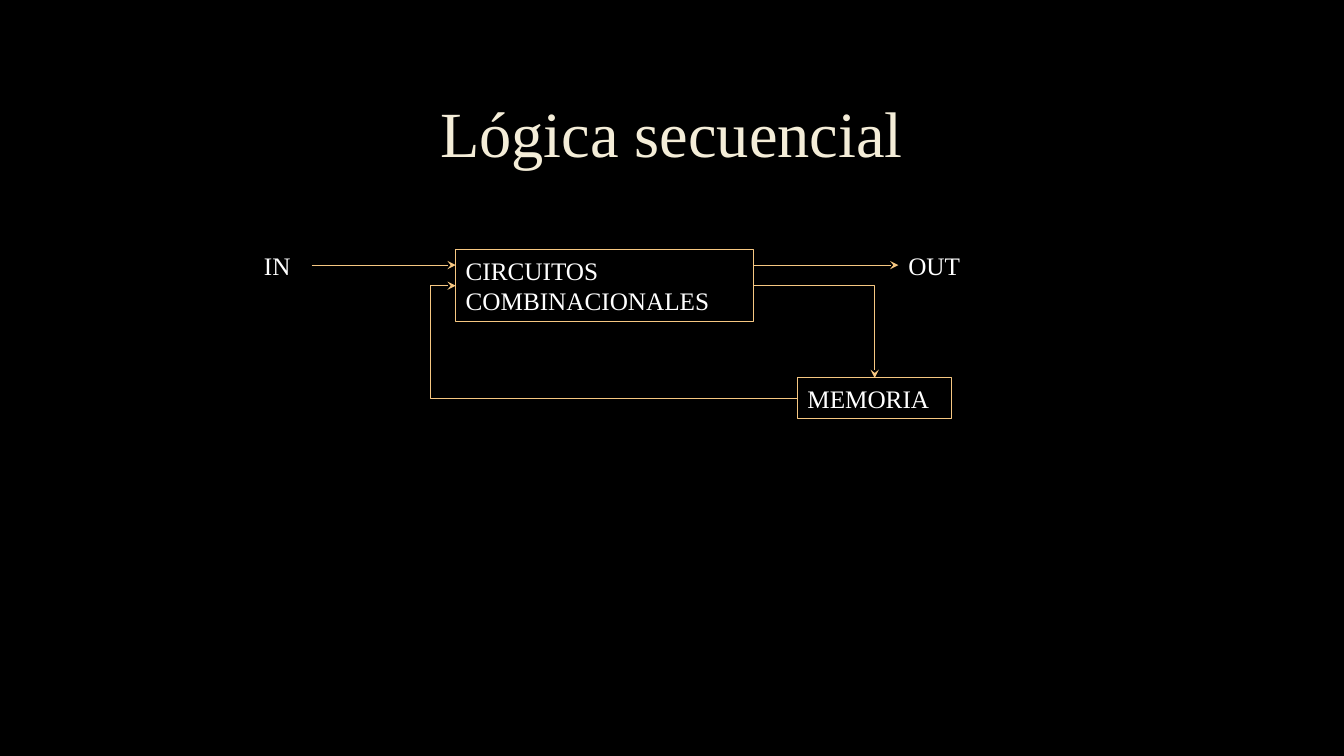
from pptx import Presentation
from pptx.dml.color import RGBColor
from pptx.enum.shapes import MSO_CONNECTOR, MSO_SHAPE
from pptx.enum.text import MSO_ANCHOR, MSO_AUTO_SIZE, PP_ALIGN
from pptx.oxml import parse_xml
from pptx.oxml.ns import nsdecls, qn
from pptx.util import Inches, Pt

FONT = "Times New Roman"
GOLD, CREAM, WHITE, BLACK = "F6C782", "F4EDD8", "FFFFFF", "000000"
TOP, LEFT, RIGHT = 0, 1, 3


def color(hex_string):
    """Return the colour for a hex string."""
    return RGBColor.from_string(hex_string)


def format_paragraph(paragraph, size, hex_string, alignment):
    """Set the font and alignment of a paragraph."""
    paragraph.alignment = alignment
    paragraph.font.name = FONT
    paragraph.font.size = Pt(size)
    paragraph.font.color.rgb = color(hex_string)


def add_title(slide, text, left, top, width, height):
    """Place and format the title placeholder in the given box."""
    title = slide.shapes.title
    title.left, title.top = Inches(left), Inches(top)
    title.width, title.height = Inches(width), Inches(height)
    frame = title.text_frame
    frame.text = text
    frame.auto_size = MSO_AUTO_SIZE.NONE
    frame.vertical_anchor = MSO_ANCHOR.MIDDLE
    paragraph = frame.paragraphs[0]
    paragraph.line_spacing = 0.9
    format_paragraph(paragraph, 46, CREAM, PP_ALIGN.CENTER)


def add_node(slide, text, left, top, width, height, outlined=False):
    """Add a plain label or an outlined block of the diagram."""
    box = Inches(left), Inches(top), Inches(width), Inches(height)
    if outlined:
        node = slide.shapes.add_shape(MSO_SHAPE.RECTANGLE, *box)
        node.shadow.inherit = False
        node.fill.background()
        node.line.color.rgb = color(GOLD)
        node.line.width = Pt(0.75)
    else:
        node = slide.shapes.add_textbox(*box)
    frame = node.text_frame
    frame.text = text
    frame.word_wrap = True
    frame.auto_size = MSO_AUTO_SIZE.SHAPE_TO_FIT_TEXT
    frame.vertical_anchor = MSO_ANCHOR.TOP
    format_paragraph(frame.paragraphs[0], 18, WHITE, PP_ALIGN.LEFT)
    return node


def add_arrow(slide, kind, start, end):
    """Add a gold connector with a stealth head at its end."""
    points = [Inches(value) for value in (*start, *end)]
    arrow = slide.shapes.add_connector(kind, *points)
    arrow.line.color.rgb = color(GOLD)
    arrow.line.width = Pt(0.75)
    properties = arrow._element.spPr
    line = properties.find(qn("a:ln"))
    line.append(parse_xml(f'<a:tailEnd {nsdecls("a")} type="stealth"/>'))
    properties.append(parse_xml(f'<a:effectLst {nsdecls("a")}/>'))
    return arrow


def add_diagram(slide, left, top):
    """Draw the sequential circuit with its top left corner at the given point."""
    input_label = add_node(slide, "IN", left, top, 0.57, 0.4)
    circuits_left, circuits_width = left + 2, 2.95
    circuits_right = circuits_left + circuits_width
    circuits = add_node(slide, "CIRCUITOS COMBINACIONALES", circuits_left, top + 0.05,
                        circuits_width, 0.71, True)
    output_left = left + 6.39
    output_label = add_node(slide, "OUT", output_left, top, 1.08, 0.4)
    memory_left, memory_top = left + 5.39, top + 1.32
    memory_width, memory_height = 1.53, 0.4
    memory = add_node(slide, "MEMORIA", memory_left, memory_top,
                      memory_width, memory_height, True)

    signal_y, circuits_middle = top + 0.2, top + 0.4
    output_arrow = add_arrow(slide, MSO_CONNECTOR.STRAIGHT,
                             (circuits_right, signal_y), (output_left, signal_y))
    output_arrow.end_connect(output_label, LEFT)
    input_arrow = add_arrow(slide, MSO_CONNECTOR.STRAIGHT,
                            (left + 0.57, signal_y), (circuits_left, signal_y))
    input_arrow.begin_connect(input_label, RIGHT)

    store = add_arrow(slide, MSO_CONNECTOR.ELBOW, (circuits_right, circuits_middle),
                      (memory_left + memory_width / 2, memory_top))
    store.begin_connect(circuits, RIGHT)
    store.end_connect(memory, TOP)
    store._element.spPr.find(qn("a:prstGeom")).set("prst", "bentConnector2")

    feedback = add_arrow(slide, MSO_CONNECTOR.ELBOW,
                         (memory_left, memory_top + memory_height / 2),
                         (circuits_left, circuits_middle))
    feedback.begin_connect(memory, LEFT)
    feedback.end_connect(circuits, LEFT)
    adjustments = feedback._element.spPr.find(qn("a:prstGeom")).get_or_add_avLst()
    adjustments.append(parse_xml(f'<a:gd {nsdecls("a")} name="adj1" fmla="val 107400"/>'))


def main():
    """Build and save the presentation."""
    presentation = Presentation()
    presentation.slide_width, presentation.slide_height = Inches(13.33), Inches(7.5)
    slide = presentation.slides.add_slide(presentation.slide_layouts[5])
    slide.background.fill.solid()
    slide.background.fill.fore_color.rgb = color(BLACK)
    add_title(slide, "Lógica secuencial", 1, 0.67, 11.32, 1.38)
    add_diagram(slide, 2.52, 2.43)
    presentation.save("out.pptx")


if __name__ == "__main__":
    main()
